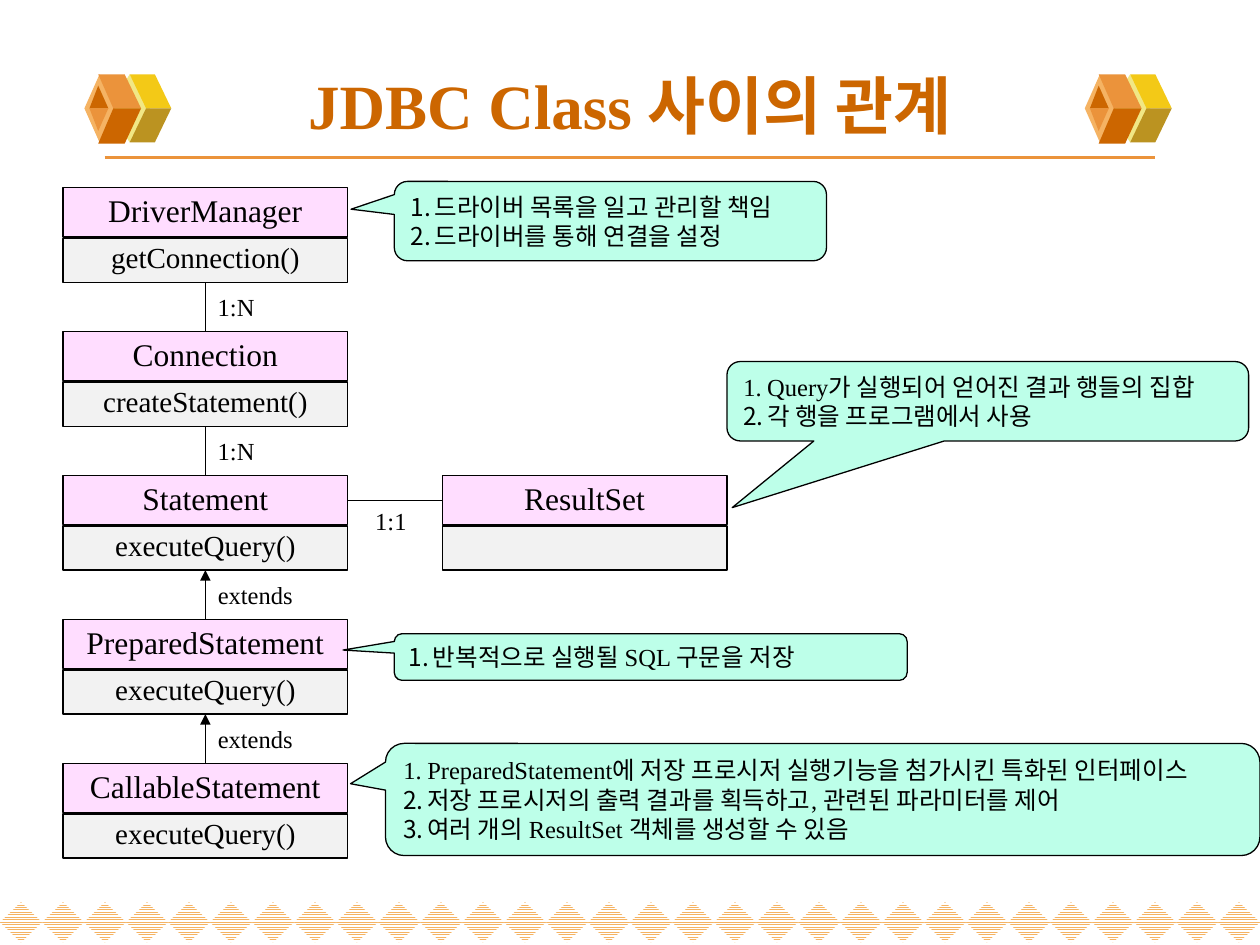
from lxml.etree import SubElement
from pptx import Presentation
from pptx.dml.color import RGBColor
from pptx.enum.dml import MSO_PATTERN
from pptx.enum.shapes import MSO_CONNECTOR, MSO_SHAPE
from pptx.enum.text import MSO_ANCHOR, PP_ALIGN
from pptx.oxml.ns import qn
from pptx.util import Inches, Pt

THEME = dict(
    font="Times New Roman", title="CC6600", ink="000000", paper="FFFFFF",
    name_fill="FFDDFF", method_fill="F2F2F2", note_fill="BDFFE9",
    rule="EB933B", band="F5B363",
    title_size=36, name_size=18, method_size=16.6, note_size=14,
    line=0.75, rule_line=2.25,
)
TITLE = "JDBC Class 사이의 관계"
# class name, method, link to the class above
CLASSES = [
    ("DriverManager", "getConnection()", None),
    ("Connection", "createStatement()", "1:N"),
    ("Statement", "executeQuery()", "1:N"),
    ("PreparedStatement", "executeQuery()", "extends"),
    ("CallableStatement", "executeQuery()", "extends"),
]
# left, top, width, height, pointer offset, numbered lines
NOTES = [
    (3.13, 1.44, 3.43, 0.63, (-0.6, -0.15),
     ["드라이버 목록을 일고 관리할 책임", "드라이버를 통해 연결을 설정"]),
    (5.77, 2.87, 4.14, 0.63, (-0.49, 1.34),
     ["Query가 실행되어 얻어진 결과 행들의 집합", "각 행을 프로그램에서 사용"]),
    (3.13, 5.03, 4.07, 0.37, (-0.6, -0.15),
     ["반복적으로 실행될 SQL 구문을 저장"]),
    (3.06, 5.9, 6.94, 0.89, (-0.54, -0.14),
     ["PreparedStatement에 저장 프로시저 실행기능을 첨가시킨 특화된 인터페이스",
      "저장 프로시저의 출력 결과를 획득하고, 관련된 파라미터를 제어",
      "여러 개의 ResultSet 객체를 생성할 수 있음"]),
]
# Cube faces, measured from the cube's left end and vertical middle
CUBE_LEFTS, CUBE_MIDDLE = (0.67, 8.61), 0.86
CUBE_FACES = [
    ("F1E785", [(0.19, 0), (0.36, -0.27), (0.52, 0), (0.36, 0.27)]),
    ("F3C917", [(0.49, 0), (0.69, 0), (0.56, -0.27), (0.36, -0.27)]),
    ("BB9321", [(0.49, 0), (0.69, 0), (0.56, 0.27), (0.36, 0.27)]),
    ("F5B363", [(0, 0), (0.12, -0.27), (0.24, 0), (0.12, 0.27)]),
    ("EB933B", [(0.23, 0), (0.45, 0), (0.32, -0.27), (0.11, -0.27)]),
    ("CC6600", [(0.23, 0), (0.45, 0), (0.32, 0.28), (0.11, 0.28)]),
    ("CC6600", [(0.11, -0.18), (0.04, 0), (0.19, 0)]),
    ("EB933B", [(0.11, 0.18), (0.04, 0), (0.19, 0)]),
]
BOX_LEFT, RESULT_LEFT, BOX_W = 0.5, 3.51, 2.26
FIRST_TOP, LAST_TOP = 1.49, 6.06
PITCH = (LAST_TOP - FIRST_TOP) / (len(CLASSES) - 1)
NAME_H, METHOD_DY, METHOD_H = 0.39, 0.4, 0.35
DIAMONDS = 30


def rgb(key):
    return RGBColor.from_string(THEME.get(key, key))


def add_run(p, text, size, color="ink", bold=False):
    r = p.add_run()
    r.text = text
    r.font.name, r.font.size, r.font.bold = THEME["font"], Pt(THEME[size]), bold
    r.font.color.rgb = rgb(color)


def add_box(s, kind, left, top, width, height, fill):
    sp = s.shapes.add_shape(kind, *map(Inches, (left, top, width, height)))
    sp.shadow.inherit = False
    sp.fill.solid()
    sp.fill.fore_color.rgb = rgb(fill)
    sp.line.color.rgb = rgb("ink")
    sp.line.width = Pt(THEME["line"])
    sp.text_frame.word_wrap = True
    sp.text_frame.vertical_anchor = MSO_ANCHOR.MIDDLE
    return sp


def add_line(s, start=(0, 0), end=(0, 0), color="ink", width="line"):
    line = s.shapes.add_connector(MSO_CONNECTOR.STRAIGHT, *map(Inches, start + end))
    line.line.color.rgb = rgb(color)
    line.line.width = Pt(THEME[width])
    SubElement(line._element.spPr, qn("a:effectLst"))
    return line


def link(s, a, a_site, b, b_site, arrow=False):
    """Join two boxes; an arrow points at b."""
    line = add_line(s)
    line.begin_connect(a, a_site)
    line.end_connect(b, b_site)
    if arrow:
        SubElement(line.line._get_or_add_ln(), qn("a:tailEnd"), type="triangle")


def add_label(s, left, top, text):
    tb = s.shapes.add_textbox(*map(Inches, (left, top, 0.81 if len(text) > 3 else 0.5, 0.34)))
    add_run(tb.text_frame.paragraphs[0], text, "note_size")


def add_class(s, left, top, name, method):
    parts = []
    for text, dy, height, fill, size, spacing in (
            (name, 0, NAME_H, "name_fill", "name_size", 0.9),
            (method, METHOD_DY, METHOD_H, "method_fill", "method_size", 0.8)):
        sp = add_box(s, MSO_SHAPE.RECTANGLE, left, top + dy, BOX_W, height, fill)
        if text:
            p = sp.text_frame.paragraphs[0]
            p.alignment, p.line_spacing = PP_ALIGN.CENTER, spacing
            add_run(p, text, size)
        parts.append(sp)
    return parts


def add_note(s, left, top, width, height, pointer, lines):
    sp = add_box(s, MSO_SHAPE.ROUNDED_RECTANGULAR_CALLOUT, left, top, width, height, "note_fill")
    sp.adjustments[0], sp.adjustments[1] = pointer
    tf = sp.text_frame
    for i, text in enumerate(lines):
        p = tf.add_paragraph() if i else tf.paragraphs[0]
        p.alignment = PP_ALIGN.LEFT
        pPr = p._p.get_or_add_pPr()
        pPr.set("marL", str(Inches(0.19)))
        pPr.set("indent", str(Inches(-0.19)))
        SubElement(pPr, qn("a:buFontTx"))
        SubElement(pPr, qn("a:buAutoNum"), type="arabicPeriod")
        add_run(p, text, "note_size")


def add_decoration(s):
    step = 10 / DIAMONDS
    for i in range(DIAMONDS):
        sp = s.shapes.add_shape(MSO_SHAPE.DIAMOND, *map(Inches, (i * step, 7.16, step, 0.32)))
        sp.shadow.inherit = False
        sp.fill.patterned()
        sp.fill.pattern = MSO_PATTERN.NARROW_HORIZONTAL
        sp.fill.fore_color.rgb = rgb("band")
        sp.fill.back_color.rgb = rgb("paper")
        sp.line.fill.background()
    add_line(s, (0.83, 1.25), (9.17, 1.25), "rule", "rule_line")
    for left in CUBE_LEFTS:
        for color, face in CUBE_FACES:
            points = [(Inches(left + x), Inches(CUBE_MIDDLE + y)) for x, y in face]
            builder = s.shapes.build_freeform(*points[0])
            builder.add_line_segments(points[1:], close=True)
            sp = builder.convert_to_shape()
            sp.shadow.inherit = False
            sp.fill.solid()
            sp.fill.fore_color.rgb = rgb(color)
            sp.line.fill.background()


def add_diagram(s):
    tops = [FIRST_TOP + i * PITCH for i in range(len(CLASSES))]
    boxes = [add_class(s, BOX_LEFT, top, name, method)
             for top, (name, method, _) in zip(tops, CLASSES)]
    for i, (_, _, text) in enumerate(CLASSES):
        if text:
            link(s, boxes[i][0], 0, boxes[i - 1][1], 2, arrow=text == "extends")
            add_label(s, BOX_LEFT + BOX_W / 2, tops[i] - 0.36, text)
    result = add_class(s, RESULT_LEFT, tops[2], "ResultSet", "")
    link(s, boxes[2][0], 3, result[0], 1)
    add_label(s, 2.88, tops[2] + NAME_H / 2, "1:1")


def main():
    prs = Presentation()
    prs.slide_width, prs.slide_height = Inches(10), Inches(7.5)
    s = prs.slides.add_slide(prs.slide_layouts[5])
    add_decoration(s)
    title = s.shapes.title
    title.left, title.top, title.width, title.height = map(Inches, (0.5, 0.4, 9, 0.85))
    title.text_frame.vertical_anchor = MSO_ANCHOR.MIDDLE
    p = title.text_frame.paragraphs[0]
    p.alignment = PP_ALIGN.CENTER
    add_run(p, TITLE, "title_size", "title", bold=True)
    add_diagram(s)
    for note in NOTES:
        add_note(s, *note)
    prs.save("out.pptx")


if __name__ == "__main__":
    main()
